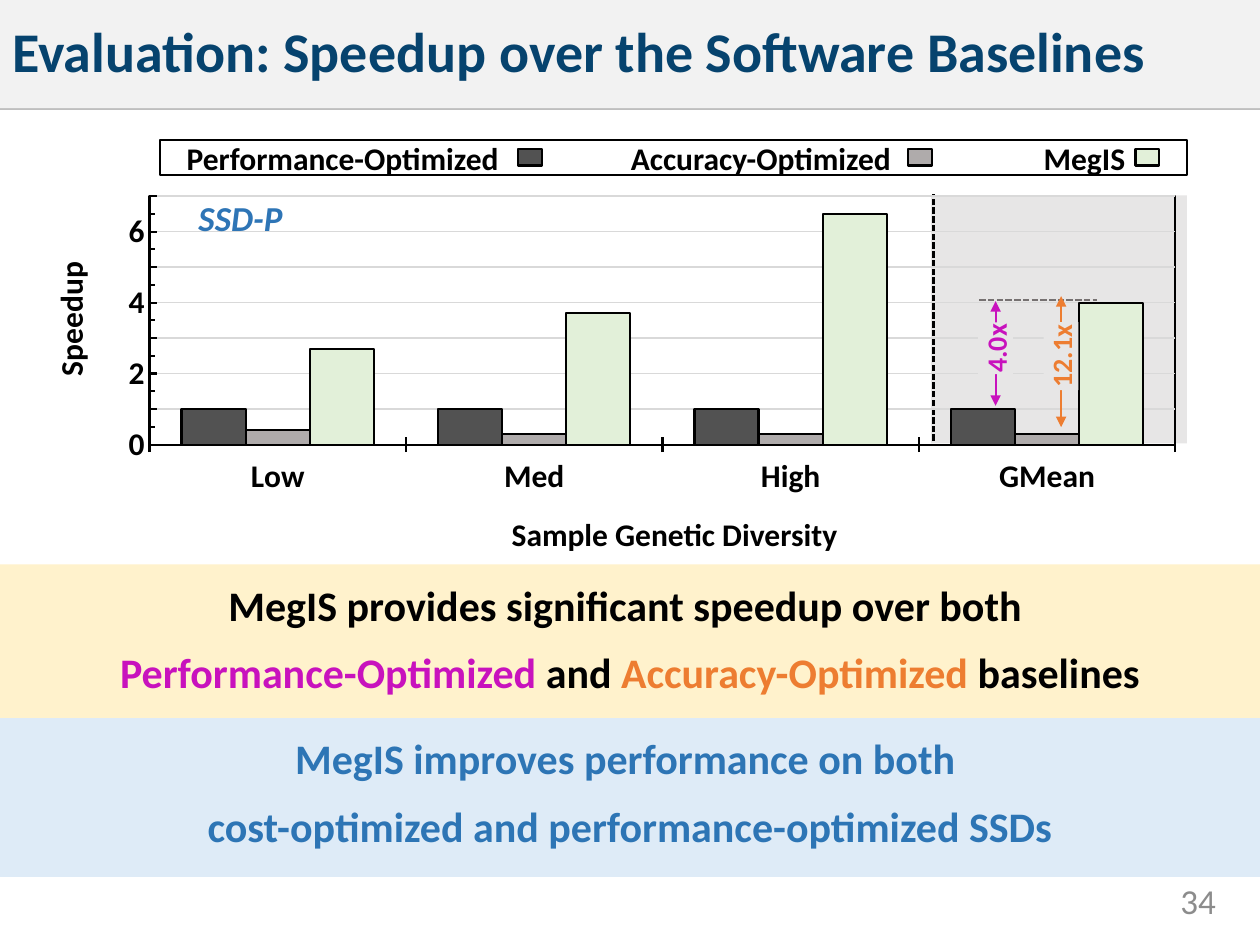
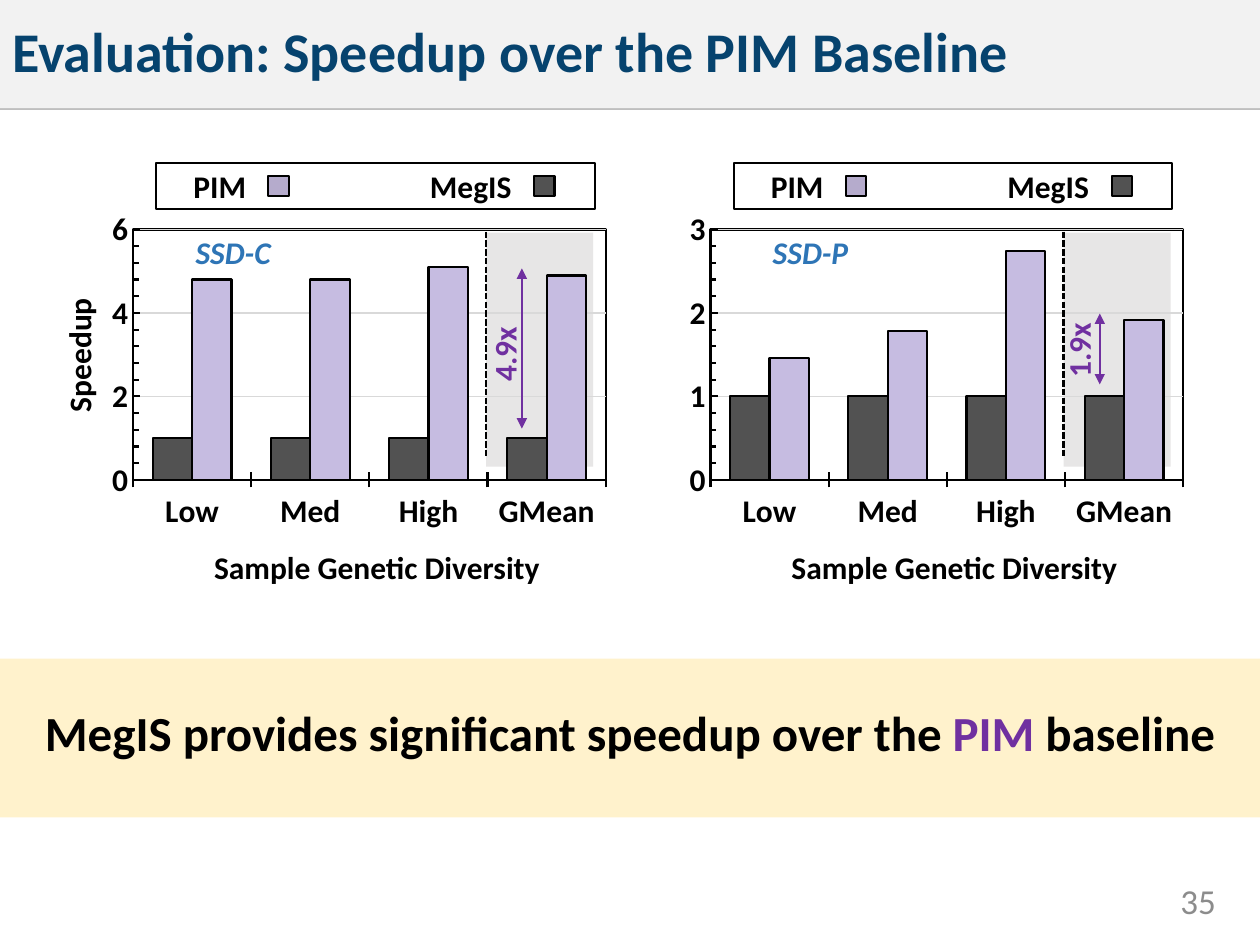
from lxml import etree
from pptx import Presentation
from pptx.chart.data import CategoryChartData
from pptx.dml.color import RGBColor
from pptx.enum.chart import XL_CHART_TYPE, XL_TICK_MARK
from pptx.enum.dml import MSO_LINE
from pptx.enum.shapes import MSO_CONNECTOR, MSO_SHAPE
from pptx.enum.text import MSO_ANCHOR, PP_ALIGN
from pptx.oxml import parse_xml
from pptx.oxml.ns import nsdecls, qn
from pptx.util import Cm, Pt

COLUMNS = XL_CHART_TYPE.COLUMN_CLUSTERED
TICK_CROSS, TICK_INSIDE = XL_TICK_MARK.CROSS, XL_TICK_MARK.INSIDE
DASH = MSO_LINE.SQUARE_DOT
STRAIGHT = MSO_CONNECTOR.STRAIGHT
RECTANGLE = MSO_SHAPE.RECTANGLE
MIDDLE = MSO_ANCHOR.MIDDLE
LEFT, CENTER, RIGHT = PP_ALIGN.LEFT, PP_ALIGN.CENTER, PP_ALIGN.RIGHT

FONT = "Calibri"
BLACK, WHITE = "000000", "FFFFFF"
NAVY, BLUE, MID_BLUE, PALE_BLUE = "06436E", "2E75B6", "2D75B5", "DEEBF7"
CREAM, MAGENTA, ORANGE, PURPLE = "FFF2CC", "C812BD", "ED7D31", "7030A0"
TITLE_GRAY, RULE_GRAY, NUMBER_GRAY = "F2F2F2", "BFBFBF", "8C8C8C"
HIGHLIGHT, GRID, DASH_GRAY = "E7E6E6", "D9D9D9", "767171"
DARK, GRAY, GREEN = "525252", "AFABAB", "E2F0D9"
LILAC, LEGEND_LILAC = "C6BCE1", "B5ABCC"

WIDTH, HEIGHT, TITLE_HEIGHT = 25.4, 19.05, 2.18
BAND_HEIGHT = 3.2
OUTLINE = 1.25
DIVERSITIES = ["Low", "Med", "High", "GMean"]
NO_INSETS = (0, 0, 0, 0)
BAND_INSETS = (0.25, 0, 0.25, 0.23)
TITLE_INSETS = (0.25, 0.13, 0.25, 0.13)


def rgb(value):
    return RGBColor.from_string(value)


def apply(target, values):
    for name, value in values.items():
        setattr(target, name, value)


class SlideBuilder:
    def __init__(self):
        self.deck = Presentation()
        self.deck.slide_width = Cm(WIDTH)
        self.deck.slide_height = Cm(HEIGHT)
        self.page = None

    def start(self, title, number):
        self.page = self.deck.slides.add_slide(self.deck.slide_layouts[6])
        self.line((0, TITLE_HEIGHT), (WIDTH, TITLE_HEIGHT), RULE_GRAY, 2)
        heading = self.rectangle(0, 0, WIDTH, TITLE_HEIGHT, TITLE_GRAY)
        self.fill_text(heading, [[(title, NAVY)]], 32, align=LEFT, insets=TITLE_INSETS,
                       spacing=dict(line_spacing=0.9, space_after=Pt(6)))
        footer = self.page.shapes.add_textbox(Cm(22.02), Cm(17.65), Cm(2.74), Cm(1.02))
        self.fill_text(footer, [[(str(number), NUMBER_GRAY)]], 20, align=RIGHT,
                       insets=TITLE_INSETS, bold=False)

    def fill_text(self, shape, rows, size, align=CENTER, insets=NO_INSETS, spacing=None,
                  bold=True, italic=False):
        frame = shape.text_frame
        left, top, right, bottom = (Cm(inset) for inset in insets)
        apply(frame, dict(word_wrap=True, vertical_anchor=MIDDLE, margin_left=left,
                          margin_top=top, margin_right=right, margin_bottom=bottom))
        for index, row in enumerate(rows):
            para = frame.add_paragraph() if index else frame.paragraphs[0]
            apply(para, dict(alignment=align, **(spacing or {})))
            for text, color in row:
                span = para.add_run()
                span.text = text
                self.style_font(span.font, size, color, bold, italic)

    def style_font(self, font, size, color, bold=True, italic=False):
        apply(font, dict(name=FONT, size=Pt(size), bold=bold, italic=italic))
        font.color.rgb = rgb(color)

    def style_line(self, line, color=BLACK, width=OUTLINE):
        line.color.rgb = rgb(color)
        line.width = Pt(width)

    def rectangle(self, left, top, width, height, fill, outlined=False):
        box = self.page.shapes.add_shape(RECTANGLE, Cm(left), Cm(top), Cm(width), Cm(height))
        box.shadow.inherit = False
        box.fill.solid()
        box.fill.fore_color.rgb = rgb(fill)
        if outlined:
            self.style_line(box.line)
        else:
            box.line.fill.background()
        return box

    def label(self, text, center, width, size=18, color=BLACK, height=0.7,
              upright=False, italic=False, fill=None):
        left, top = center[0] - width / 2, center[1] - height / 2
        if fill:
            box = self.rectangle(left, top, width, height, fill)
        else:
            box = self.page.shapes.add_textbox(Cm(left), Cm(top), Cm(width), Cm(height))
        if upright:
            box.rotation = 270
        self.fill_text(box, [[(text, color)]], size, italic=italic)

    def band(self, top, fill, rows, size):
        box = self.rectangle(0, top, WIDTH, BAND_HEIGHT, fill)
        self.fill_text(box, rows, size, insets=BAND_INSETS, spacing=dict(space_after=Pt(10)))

    def line(self, start, end, color=BLACK, width=OUTLINE, dashed=False, arrows=False):
        points = [Cm(value) for value in (*start, *end)]
        connector = self.page.shapes.add_connector(STRAIGHT, *points)
        self.style_line(connector.line, color, width)
        if dashed:
            connector.line.dash_style = DASH
        properties = connector.element.spPr
        if arrows:
            for tag in ("a:headEnd", "a:tailEnd"):
                etree.SubElement(properties.find(qn("a:ln")), qn(tag), type="triangle")
        etree.SubElement(properties, qn("a:effectLst"))

    def legend(self, left, top, width, height, swatch, label_width, entries):
        self.rectangle(left, top, width, height, WHITE, outlined=True)
        middle = top + height / 2
        swatch_width, swatch_height = swatch
        for name, label_center, swatch_left, color in entries:
            self.rectangle(left + swatch_left, middle - swatch_height / 2,
                           swatch_width, swatch_height, color, outlined=True)
            self.label(name, (left + label_center, middle), label_width)

    def chart(self, place, series, maximum, major, minor, plot_area):
        data = CategoryChartData()
        data.categories = DIVERSITIES
        for index, (values, color) in enumerate(series, 1):
            data.add_series(f"Series {index}", values)
        chart = self.page.shapes.add_chart(COLUMNS, *map(Cm, place), data).chart
        apply(chart, dict(has_legend=False, has_title=False))
        self.style_font(chart.font, 18, BLACK)
        plot = chart.plots[0]
        apply(plot, dict(gap_width=100, overlap=0, vary_by_categories=False))
        for bars, (values, color) in zip(plot.series, series):
            bars.invert_if_negative = False
            bars.format.fill.solid()
            bars.format.fill.fore_color.rgb = rgb(color)
            self.style_line(bars.format.line)
        value_axis, category_axis = chart.value_axis, chart.category_axis
        apply(value_axis, dict(minimum_scale=0, maximum_scale=maximum, major_unit=major,
                               minor_unit=minor, major_tick_mark=TICK_INSIDE,
                               minor_tick_mark=TICK_INSIDE, has_major_gridlines=True))
        category_axis.major_tick_mark = TICK_CROSS
        for axis in (value_axis, category_axis):
            self.style_font(axis.tick_labels.font, 18, BLACK)
            self.style_line(axis.format.line)
        self.style_line(value_axis.major_gridlines.format.line, GRID, 0.75)
        self.frame_plot(chart, plot_area)

    def frame_plot(self, chart, plot_area):
        area = chart.element.find(".//" + qn("c:plotArea"))
        for layout in area.findall(qn("c:layout")):
            area.remove(layout)
        numbers = "".join(f'<c:{name} val="{value}"/>'
                          for name, value in zip("xywh", plot_area))
        area.insert(0, parse_xml(
            f'<c:layout {nsdecls("c")}><c:manualLayout><c:layoutTarget val="inner"/>'
            f'<c:xMode val="edge"/><c:yMode val="edge"/>{numbers}'
            '</c:manualLayout></c:layout>'))
        spaces = nsdecls("c", "a")
        area.append(parse_xml(
            f'<c:spPr {spaces}><a:noFill/><a:ln w="{Pt(OUTLINE)}"><a:solidFill>'
            f'<a:srgbClr val="{BLACK}"/></a:solidFill></a:ln></c:spPr>'))
        chart.element.find(qn("c:chart")).addnext(parse_xml(
            f'<c:spPr {spaces}><a:noFill/><a:ln><a:noFill/></a:ln></c:spPr>'))


def software_slide(builder):
    builder.start("Evaluation: Speedup over the Software Baselines", 34)
    builder.band(11.38, CREAM, [
        [("MegIS provides significant speedup over both ", BLACK)],
        [("Performance-Optimized", MAGENTA), (" and ", BLACK),
         ("Accuracy-Optimized", ORANGE), (" baselines", BLACK)]], 24)
    builder.label("Speedup", (1.42, 6.43), 2.6, upright=True)
    builder.legend(3.23, 2.82, 20.7, 0.71, (0.48, 0.33), 6.5, [
        ("Performance-Optimized", 3.68, 7.21, DARK),
        ("Accuracy-Optimized", 12.11, 15.08, GRAY),
        ("MegIS", 18.63, 19.66, GREEN)])
    builder.label("Sample Genetic Diversity", (13.6, 10.77), 7.6)
    builder.rectangle(18.77, 3.94, 5.16, 5, HIGHLIGHT)
    builder.line((18.82, 8.89), (18.82, 3.91), dashed=True)
    builder.chart((2.34, 3.12, 22.48, 6.96), [
        ([1, 1, 1, 1], DARK),
        ([0.4, 0.3, 0.3, 0.3], GRAY),
        ([2.7, 3.7, 6.5, 4], GREEN)], 7, 1, 0.5, (0.03, 0.12, 0.92, 0.72))
    builder.label("SSD-P", (4.85, 4.39), 3.2, 20, BLUE, italic=True)
    builder.line((19.74, 6.05), (22.12, 6.05), DASH_GRAY, dashed=True)
    for text, x, bottom, top, middle, width, color in [
            ("4.0x", 20.07, 8.18, 6.07, 7.02, 1.04, MAGENTA),
            ("12.1x", 21.39, 8.61, 5.97, 7.18, 1.37, ORANGE)]:
        builder.line((x, bottom), (x, top), color, arrows=True)
        builder.label(text, (x, middle), width, 16, color, upright=True, fill=HIGHLIGHT)
    builder.band(14.48, PALE_BLUE, [
        [("MegIS improves performance on both ", MID_BLUE)],
        [("cost-optimized and performance-optimized SSDs", MID_BLUE)]], 24)


def pim_slide(builder):
    builder.start("Evaluation: Speedup over the PIM Baseline", 35)
    builder.label("Speedup", (1.59, 7.16), 2.6, upright=True)
    panels = [
        ("SSD-C", 0, [4.8, 4.8, 5.1, 4.9], 6, 2, "4.9x", (10.16, 7.14), (10.52, 8.64, 5.41)),
        ("SSD-P", 11.64, [1.46, 1.78, 2.74, 1.92], 3, 1, "1.9x", (21.74, 7.06),
         (22.17, 7.75, 6.32))]
    for name, shift, speedups, maximum, major, gain, gain_center, arrow in panels:
        x, bottom, top = arrow
        builder.rectangle(9.8 + shift, 4.69, 2.16, 4.72, HIGHLIGHT)
        builder.chart((2.06 + shift, 4.09, 10.36, 6.73),
                      [([1, 1, 1, 1], DARK), (speedups, LILAC)],
                      maximum, major, major / 5, (0.06, 0.08, 0.92, 0.75))
        builder.line((x, bottom), (x, top), PURPLE, arrows=True)
        builder.label(gain, gain_center, 1.4, color=PURPLE, upright=True)
        builder.label(name, (4.7 + shift, 5.08), 3, color=BLUE, italic=True)
        builder.line((9.8 + shift, 4.67), (9.8 + shift, 9.19), dashed=True)
        builder.legend(3.15 + shift, 3.28, 8.84, 0.94, (0.41, 0.41), 2.4, [
            ("PIM", 1.28, 2.26, LEGEND_LILAC), ("MegIS", 6.34, 7.62, DARK)])
        builder.label("Sample Genetic Diversity", (7.6 + shift, 11.42), 7.6)
    builder.band(13.28, CREAM, [
        [("MegIS provides significant speedup over the ", BLACK), ("PIM", PURPLE),
         (" baseline", BLACK)]], 28)


def main():
    builder = SlideBuilder()
    software_slide(builder)
    pim_slide(builder)
    builder.deck.save("out.pptx")


if __name__ == "__main__":
    main()
